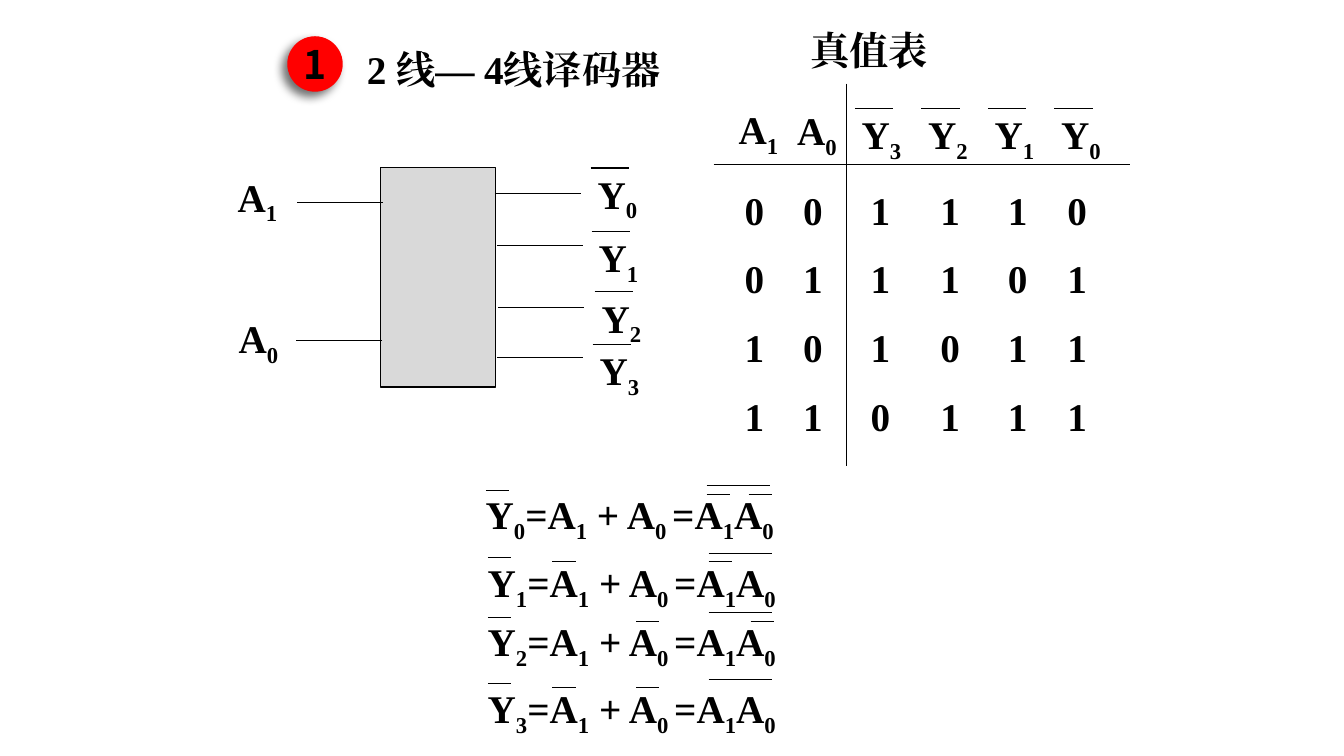
from dataclasses import dataclass

from lxml import etree
from pptx import Presentation
from pptx import util as u
from pptx.dml.color import RGBColor
from pptx.enum import shapes, text
from pptx.oxml.ns import qn


@dataclass(frozen=True)
class Theme:
    ink: RGBColor = RGBColor(0, 0, 0)
    block: RGBColor = RGBColor(0xD9, 0xD9, 0xD9)
    badge: RGBColor = RGBColor(0xFF, 0, 0)
    serif: str = "Times New Roman"
    sans: str = "Noto Sans CJK SC"
    size: u.Pt = u.Pt(28)
    line: u.Pt = u.Pt(0.75)
    row_gap: u.Pt = u.Pt(15.5)


THEME = Theme()
COLUMNS, ROWS = 40, 22.5
CELL = u.Inches(7.5) / ROWS
LABEL_H = 1.71


def grid(*cells):
    return [u.Emu(round(c * CELL)) for c in cells]


def add_run(p, content, font=THEME.serif, subscript=False):
    r = p.add_run()
    r.text = content
    r.font.size = THEME.size
    r.font.bold = True
    r.font.color.rgb = THEME.ink
    r.font.name = font
    props = r.font._element
    etree.SubElement(props, qn("a:ea")).set("typeface", font)
    if subscript:
        props.set("baseline", "-25000")


def add_text(s, x, y, w, h=LABEL_H, wrap=True, anchor=text.MSO_ANCHOR.TOP):
    tf = s.shapes.add_textbox(*grid(x, y, w, h)).text_frame
    tf.word_wrap = wrap
    tf.auto_size = text.MSO_AUTO_SIZE.SHAPE_TO_FIT_TEXT
    tf.vertical_anchor = anchor
    tf.margin_top, tf.margin_bottom = grid(0.26, 0.04)
    return tf


def add_symbols(s, x, y, w, *parts):
    p = add_text(s, x, y, w).paragraphs[0]
    for i, part in enumerate(parts):
        add_run(p, part, subscript=i % 2 == 1)


def add_line(s, x, y, dx, dy=0):
    line = s.shapes.add_connector(
        shapes.MSO_CONNECTOR.STRAIGHT, *grid(x, y, x + dx, y + dy))
    line.line.color.rgb = THEME.ink
    line.line.width = THEME.line
    etree.SubElement(line._element.spPr, qn("a:effectLst"))


def add_output(s, x, y, index):
    add_symbols(s, x, y, 2.19, "Y", index)
    add_line(s, x + 0.09, y + 0.2, 1.14)


def add_filled(s, kind, x, y, w, h, color):
    sp = s.shapes.add_shape(kind, *grid(x, y, w, h))
    sp.shadow.inherit = False
    sp.fill.solid()
    sp.fill.fore_color.rgb = color
    return sp


def add_badge(s, x, y, size, number):
    sp = add_filled(s, shapes.MSO_SHAPE.OVAL, x, y, size, size, THEME.badge)
    sp.line.fill.background()
    effects = sp._element.spPr.find(qn("a:effectLst"))
    shadow = etree.SubElement(
        effects, qn("a:outerShdw"), blurRad=str(u.Pt(7)), dist=str(u.Pt(5)),
        dir=str(135 * 60000), algn="ctr", rotWithShape="0")
    color = etree.SubElement(shadow, qn("a:srgbClr"), val=str(THEME.ink))
    etree.SubElement(color, qn("a:alpha"), val="57000")
    tf = sp.text_frame
    tf.margin_left = tf.margin_right = tf.margin_top = tf.margin_bottom = 0
    tf.vertical_anchor = text.MSO_ANCHOR.MIDDLE
    p = tf.paragraphs[0]
    p.alignment = text.PP_ALIGN.CENTER
    add_run(p, number, THEME.sans)


def add_heading(s):
    add_badge(s, 8.55, 1.08, 1.65, "1")
    tf = add_text(s, 10.62, 1.08, 9.75)
    add_run(tf.paragraphs[0], "2 线— 4线译码器")


def add_decoder(s):
    block = add_filled(s, shapes.MSO_SHAPE.RECTANGLE,
                       11.34, 4.98, 3.42, 6.54, THEME.block)
    block.line.color.rgb = THEME.ink
    block.line.width = THEME.line
    wire = 2.55
    for index, x, y, wire_x, wire_y in (("1", 6.78, 4.89, 8.85, 6.03),
                                        ("0", 6.81, 9.09, 8.82, 10.14)):
        add_symbols(s, x, y, 2.28, "A", index)
        add_line(s, wire_x, wire_y, wire)
    for index, x, y, wire_x, wire_y in (("0", 17.49, 4.8, 14.73, 5.76),
                                        ("1", 17.52, 6.69, 14.79, 7.32),
                                        ("2", 17.61, 8.49, 14.82, 9.15),
                                        ("3", 17.55, 10.05, 14.79, 10.65)):
        add_output(s, x, y, index)
        add_line(s, wire_x, wire_y, wire)


def add_bits(s):
    tf = add_text(s, 21.87, 5.19, 12, 8.01, anchor=text.MSO_ANCHOR.MIDDLE)
    for n in range(4):
        p = tf.add_paragraph() if n else tf.paragraphs[0]
        tabs = etree.SubElement(p._p.get_or_add_pPr(), qn("a:tabLst"))
        for stop in grid(1.74, 3.75, 5.82, 7.83, 9.6):
            etree.SubElement(tabs, qn("a:tab"), pos=str(int(stop)), algn="l")
        if n:
            p.space_before = THEME.row_gap
        outputs = ["0" if k == n else "1" for k in (3, 2, 1, 0)]
        add_run(p, "\t".join([*f"{n:02b}", *outputs]))


def add_truth_table(s):
    tf = add_text(s, 23.82, 0.51, 4.14, wrap=False,
                  anchor=text.MSO_ANCHOR.MIDDLE)
    add_run(tf.paragraphs[0], "真值表")
    add_symbols(s, 21.69, 2.88, 2.28, "A", "1")
    add_symbols(s, 23.43, 2.91, 2.28, "A", "0")
    for column, index in enumerate("3210"):
        add_output(s, 25.35 + 1.98 * column, 3.03, index)
    add_line(s, 21.24, 4.89, 12.39)
    add_line(s, 25.2, 2.49, 0, 11.37)
    add_bits(s)


def add_equation(s, x, y, index, inverted):
    add_symbols(s, x, y, 9.75, "Y", index, "=A", "1", " + A", "0 ",
                "=A", "1", "A", "0")
    add_line(s, x + 0.3, y + 0.25, 0.69)
    add_line(s, x + 6.87, y + 0.12, 1.88)
    for offset in inverted:
        add_line(s, x + offset, y + 0.37, 0.69)


def add_equations(s):
    sum_a1, sum_a0, product_a1, product_a0 = 2.22, 4.71, 6.87, 8.12
    add_equation(s, 14.16, 14.34, "0", (product_a1, product_a0))
    add_equation(s, 14.22, 16.35, "1", (sum_a1, product_a1))
    add_equation(s, 14.22, 18.12, "2", (sum_a0, product_a0))
    add_equation(s, 14.22, 20.1, "3", (sum_a1, sum_a0))


def main():
    prs = Presentation()
    prs.slide_width, prs.slide_height = grid(COLUMNS, ROWS)
    s = prs.slides.add_slide(prs.slide_layouts[6])
    add_heading(s)
    add_decoder(s)
    add_truth_table(s)
    add_equations(s)
    prs.save("out.pptx")


if __name__ == "__main__":
    main()
